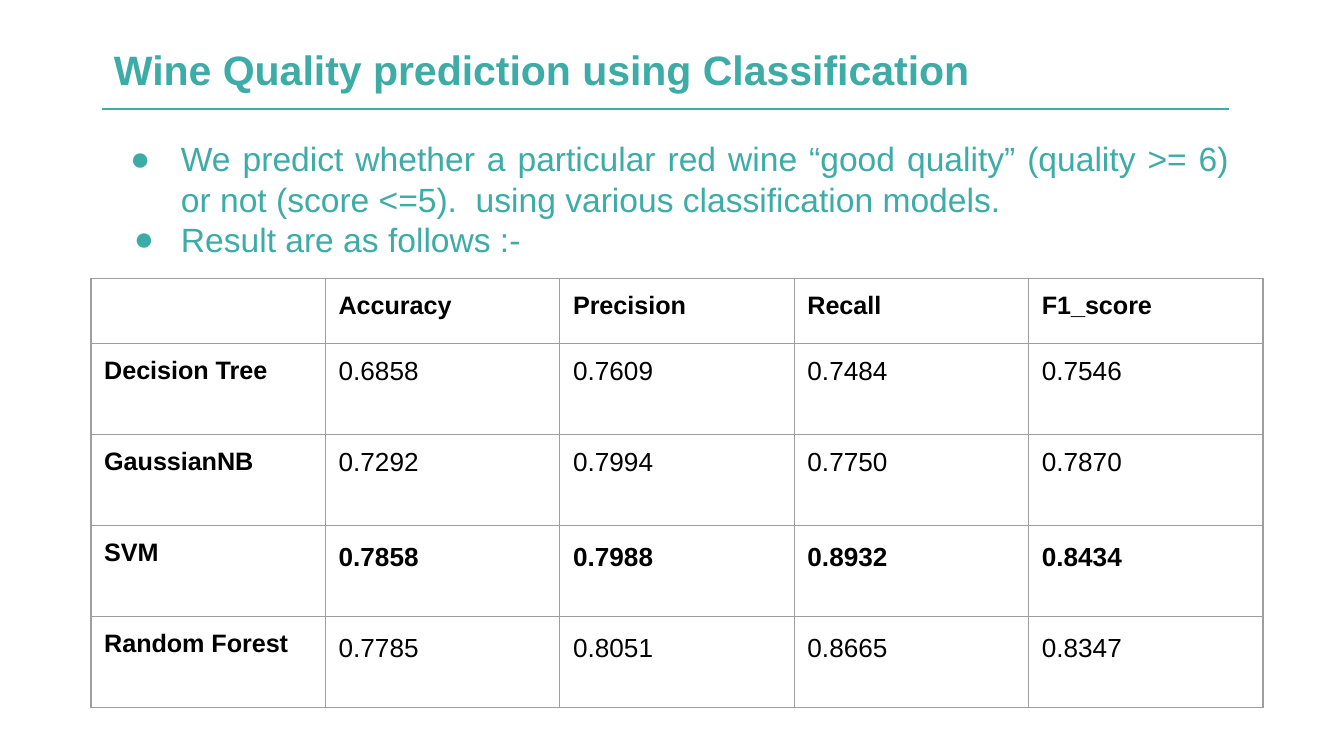
from lxml import etree
from pptx import Presentation
from pptx.dml.color import RGBColor
from pptx.enum.shapes import MSO_CONNECTOR
from pptx.enum.text import MSO_ANCHOR, MSO_AUTO_SIZE, PP_ALIGN
from pptx.oxml import parse_xml
from pptx.oxml.ns import nsdecls, qn
from pptx.util import Cm, Pt

STRAIGHT = MSO_CONNECTOR.STRAIGHT
MIDDLE, TOP = MSO_ANCHOR.MIDDLE, MSO_ANCHOR.TOP
LEFT, JUSTIFY = PP_ALIGN.LEFT, PP_ALIGN.JUSTIFY
NO_AUTOFIT = MSO_AUTO_SIZE.NONE

COLORS = {"teal": "3DACA7", "black": "000000", "grid": "9E9E9E"}
FONT = "Arial"


def set_font(paragraph, size, color, bold=False):
    paragraph.font.name = FONT
    paragraph.font.size = Pt(size)
    paragraph.font.bold = bold
    paragraph.font.color.rgb = RGBColor.from_string(COLORS[color])


deck = Presentation()
deck.slide_width, deck.slide_height = Cm(25.4), Cm(14.29)
page = deck.slides.add_slide(deck.slide_layouts[5])

# Title and the rule below it
title = page.shapes.title
title.left, title.top, title.width, title.height = Cm(1.9), Cm(0.66), Cm(19.02), Cm(1.4)
frame = title.text_frame
frame.text = "Wine Quality prediction using Classification"
frame.auto_size = NO_AUTOFIT
frame.vertical_anchor = MIDDLE
paragraph = frame.paragraphs[0]
paragraph.alignment = LEFT
paragraph.line_spacing = 0.9
set_font(paragraph, 22, "teal", bold=True)

rule = page.shapes.add_connector(STRAIGHT, Cm(1.92), Cm(2.06), Cm(23.22), Cm(2.06))
rule.line.color.rgb = RGBColor.from_string(COLORS["teal"])
rule.line.width = Pt(0.75)
etree.SubElement(rule._element.spPr, qn("a:effectLst"))

# Bulleted introduction
BULLETS = [
    ("We predict whether a particular red wine “good quality” (quality >= 6) "
     "or not (score <=5).  using various classification models.", 0.96),
    ("Result are as follows :-", 0.89),
]
box = page.shapes.add_textbox(Cm(1.9), Cm(2.49), Cm(21.59), Cm(2.6))
frame = box.text_frame
frame.word_wrap = True
for index, (text, hanging) in enumerate(BULLETS):
    paragraph = frame.paragraphs[0] if index == 0 else frame.add_paragraph()
    paragraph.text = text
    paragraph.alignment = JUSTIFY
    properties = paragraph._p.get_or_add_pPr()
    properties.set("marL", str(Cm(1.27)))
    properties.set("indent", str(-Cm(hanging)))
    color = etree.SubElement(properties, qn("a:buClr"))
    etree.SubElement(color, qn("a:srgbClr"), val=COLORS["teal"])
    etree.SubElement(properties, qn("a:buFont"), typeface=FONT)
    etree.SubElement(properties, qn("a:buChar"), char="●")
    set_font(paragraph, 18, "teal")

# Scores of the models
SCORES = [
    ["", "Accuracy", "Precision", "Recall", "F1_score"],
    ["Decision Tree", "0.6858", "0.7609", "0.7484", "0.7546"],
    ["GaussianNB", "0.7292", "0.7994", "0.7750", "0.7870"],
    ["SVM", "0.7858", "0.7988", "0.8932", "0.8434"],
    ["Random Forest", "0.7785", "0.8051", "0.8665", "0.8347"],
]
BEST_MODEL = "SVM"
LOOSE_MODELS = ("SVM", "Random Forest")
COLUMN_WIDTH, HEADER_HEIGHT, ROW_HEIGHT = Cm(4.43), Cm(1.23), Cm(1.72)

table = page.shapes.add_table(
    len(SCORES), len(SCORES[0]), Cm(1.72), Cm(5.26),
    COLUMN_WIDTH * 5, HEADER_HEIGHT + ROW_HEIGHT * 4).table
table.first_row = table.horz_banding = False
for column in table.columns:
    column.width = COLUMN_WIDTH

for row_index, values in enumerate(SCORES):
    table.rows[row_index].height = ROW_HEIGHT if row_index else HEADER_HEIGHT
    model = values[0]
    for column_index, value in enumerate(values):
        cell = table.cell(row_index, column_index)
        cell.margin_left = cell.margin_right = Cm(0.25)
        cell.margin_top = cell.margin_bottom = Cm(0.25)
        cell.vertical_anchor = TOP
        for side in ("lnL", "lnR", "lnT", "lnB"):
            cell._tc.get_or_add_tcPr().append(parse_xml(
                f'<a:{side} {nsdecls("a")} w="{Pt(0.75)}"><a:solidFill>'
                f'<a:srgbClr val="{COLORS["grid"]}"/></a:solidFill></a:{side}>'))
        cell.fill.background()

        paragraph = cell.text_frame.paragraphs[0]
        if value:
            paragraph.text = value
        is_heading = row_index == 0 or column_index == 0
        if not is_heading and model in LOOSE_MODELS:
            paragraph.line_spacing = 1.15
        set_font(paragraph, 13.5 if is_heading else 14, "black",
                 bold=is_heading or model == BEST_MODEL)

deck.save("out.pptx")
